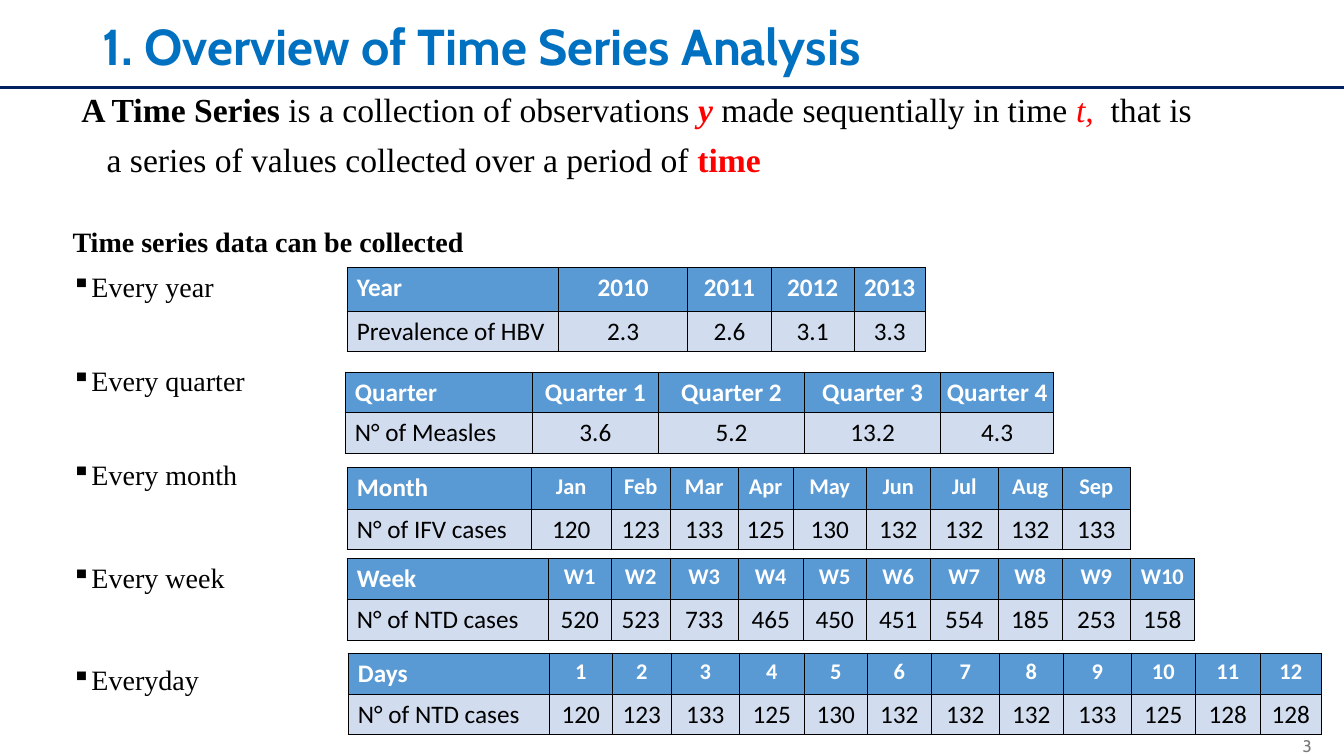
from lxml.etree import SubElement
from pptx import Presentation
from pptx.dml.color import RGBColor
from pptx.enum.shapes import MSO_CONNECTOR
from pptx.enum.text import MSO_ANCHOR, PP_ALIGN
from pptx.oxml.ns import qn
from pptx.util import Inches, Pt

WHITE = RGBColor(0xFF, 0xFF, 0xFF)
BLACK = RGBColor(0, 0, 0)
RED = RGBColor(0xFF, 0, 0)
TITLE_BLUE = RGBColor(0x00, 0x70, 0xC0)
NAVY = RGBColor(0x00, 0x20, 0x60)
GRAY = RGBColor(0x79, 0x79, 0x79)
HEADER_BLUE = RGBColor(0x5A, 0x9A, 0xD4)
ROW_BLUE = RGBColor(0xD1, 0xDD, 0xEE)

SERIF = "Times New Roman"
HEADING = "Cabin"
TABLE_FONT = "Calibri"

DEFINITION = [
    [("A Time Series ", {"bold": True}),
     ("is a collection of observations ", {}),
     ("y ", {"bold": True, "italic": True, "color": RED}),
     ("made sequentially in time ", {}),
     ("t,", {"italic": True, "color": RED}),
     (" ", {"spacing": 6}),
     ("that is", {})],
    [("a series of values collected over a period of ", {}),
     ("time", {"bold": True, "color": RED})],
]

INTERVALS = [("Every year", 7.6), ("Every quarter", 43.4), ("Every month", 43.4),
             ("Every week", 49.1), ("Everyday", 49.1)]

DAY_COLUMNS = [2, 0.62, 0.59, 0.67, 0.65, 0.62, 0.64, 0.67, 0.64, 0.67, 0.64, 0.64, 0.61]

SERIES = [
    {"box": (3.44, 2.65), "columns": [2.1, 1.28, 0.83, 0.82, 0.71],
     "rows": [0.44, 0.4], "header_size": 18,
     "periods": ["Year", "2010", "2011", "2012", "2013"],
     "values": ["Prevalence of HBV", "2.3", "2.6", "3.1", "3.3"]},
    {"box": (3.42, 3.69), "columns": [1.86, 1.25, 1.45, 1.35, 1.12],
     "rows": [0.4, 0.41], "header_size": 18,
     "periods": ["Quarter"] + [f"Quarter {n}" for n in range(1, 5)],
     "values": ["N° of Measles", "3.6", "5.2", "13.2", "4.3"]},
    {"box": (3.44, 4.64),
     "columns": [1.83, 0.79, 0.59, 0.67, 0.55, 0.72, 0.64, 0.67, 0.64, 0.67],
     "rows": [0.41, 0.4], "header_size": 16,
     "periods": "Month Jan Feb Mar Apr May Jun Jul Aug Sep".split(),
     "values": ["N° of IFV cases"] + "120 123 133 125 130 132 132 132 133".split()},
    {"box": (3.44, 5.54), "columns": DAY_COLUMNS[:11],
     "rows": [0.41, 0.4], "header_size": 16,
     "periods": ["Week"] + [f"W{n}" for n in range(1, 11)],
     "values": ["N° of NTD cases"] + "520 523 733 465 450 451 554 185 253 158".split()},
    {"box": (3.45, 6.48), "columns": DAY_COLUMNS,
     "rows": [0.41, 0.4], "header_size": 16,
     "periods": ["Days"] + [str(n) for n in range(1, 13)],
     "values": ["N° of NTD cases"]
     + "120 123 133 125 130 132 132 132 133 125 128 128".split()},
]


def add_run(paragraph, text, size, name, color=BLACK, bold=False, italic=False, spacing=None):
    run = paragraph.add_run()
    run.text = text
    style = {"size": Pt(size), "name": name, "bold": bold, "italic": italic}
    for attribute, value in style.items():
        setattr(run.font, attribute, value)
    run.font.color.rgb = color
    if spacing is not None:
        run.font._element.set("spc", str(spacing * 100))


def add_frame(slide, box, **frame_format):
    frame = slide.shapes.add_textbox(*map(Inches, box)).text_frame
    for attribute, value in {"word_wrap": True, **frame_format}.items():
        setattr(frame, attribute, value)
    return frame


def next_paragraph(frame, index):
    return frame.add_paragraph() if index else frame.paragraphs[0]


def add_title(slide, box):
    title = add_frame(slide, box, vertical_anchor=MSO_ANCHOR.MIDDLE).paragraphs[0]
    title.line_spacing = 0.9
    add_run(title, "1. Overview of Time Series Analysis", 36, HEADING, TITLE_BLUE, bold=True)


def add_title_rule(slide, left, top, width):
    rule = slide.shapes.add_connector(
        MSO_CONNECTOR.STRAIGHT, *map(Inches, (left, top, left + width, top)))
    rule.line.color.rgb = NAVY
    rule.line.width = Pt(2.25)
    SubElement(rule._element.spPr, qn("a:effectLst"))


def add_definition(slide, box):
    frame = add_frame(slide, box)
    for index, runs in enumerate(DEFINITION):
        sentence = next_paragraph(frame, index)
        sentence.line_spacing = 0.9
        if index:
            sentence.space_before = Pt(10)
            sentence._p.get_or_add_pPr().set("marL", str(Inches(0.25)))
        for text, style in runs:
            add_run(sentence, text, 24, SERIF, **style)


def add_intervals(slide, box):
    frame = add_frame(slide, box, margin_left=0, margin_right=0,
                      margin_top=Inches(0.12), margin_bottom=0)
    heading = frame.paragraphs[0]
    heading._p.get_or_add_pPr().set("marL", str(Inches(0.01)))
    add_run(heading, "Time series data can be collected", 20, SERIF, bold=True)
    for text, gap in INTERVALS:
        interval = frame.add_paragraph()
        properties = interval._p.get_or_add_pPr()
        properties.set("marL", str(Inches(0.14)))
        properties.set("indent", str(-Inches(0.14)))
        SubElement(properties, qn("a:buSzPct"), val="95000")
        SubElement(properties, qn("a:buChar"), char="▪")
        interval.space_before = Pt(gap)
        add_run(interval, text, 20, SERIF)


def add_borders(cell):
    properties = cell._tc.get_or_add_tcPr()
    for side in ("a:lnL", "a:lnR", "a:lnT", "a:lnB"):
        border = SubElement(properties, qn(side), w=str(Pt(0.5)))
        SubElement(SubElement(border, qn("a:solidFill")), qn("a:srgbClr"), val=str(BLACK))


def add_series(slide, box, columns, rows, header_size, periods, values):
    left, top = box
    table = slide.shapes.add_table(
        2, len(columns), *map(Inches, (left, top, sum(columns), sum(rows)))).table
    for column, width in zip(table.columns, columns):
        column.width = Inches(width)
    for row, height in zip(table.rows, rows):
        row.height = Inches(height)
    styles = [(periods, HEADER_BLUE, WHITE, True, header_size),
              (values, ROW_BLUE, BLACK, False, 18)]
    for row, (texts, fill, color, bold, size) in enumerate(styles):
        for column, text in enumerate(texts):
            cell = table.cell(row, column)
            margins = {"margin_left": 0, "margin_right": 0,
                       "margin_top": Inches(0.05), "margin_bottom": 0}
            for attribute, value in margins.items():
                setattr(cell, attribute, value)
            add_borders(cell)
            cell.fill.solid()
            cell.fill.fore_color.rgb = fill
            entry = cell.text_frame.paragraphs[0]
            if column:
                entry.alignment = PP_ALIGN.CENTER
            else:
                entry._p.get_or_add_pPr().set("marL", str(Inches(0.1)))
            add_run(entry, text, size if column else 18, TABLE_FONT, color, bold)


def add_page_number(slide, box):
    number = add_frame(slide, box, vertical_anchor=MSO_ANCHOR.MIDDLE).paragraphs[0]
    number.alignment = PP_ALIGN.RIGHT
    add_run(number, "3", 12, HEADING, GRAY)


def main():
    deck = Presentation()
    deck.slide_width = Inches(13.33)
    deck.slide_height = Inches(7.5)
    slide = deck.slides.add_slide(deck.slide_layouts[6])
    add_title(slide, (0.92, 0.1, 11.5, 0.78))
    add_definition(slide, (0.71, 0.88, 11.7, 5.87))
    add_intervals(slide, (0.71, 2.11, 4.03, 4.8))
    for series in SERIES:
        add_series(slide, **series)
    add_page_number(slide, (10.11, 7.2, 3, 0.4))
    add_title_rule(slide, 0, 0.87, 13.33)
    deck.save("out.pptx")


if __name__ == "__main__":
    main()
